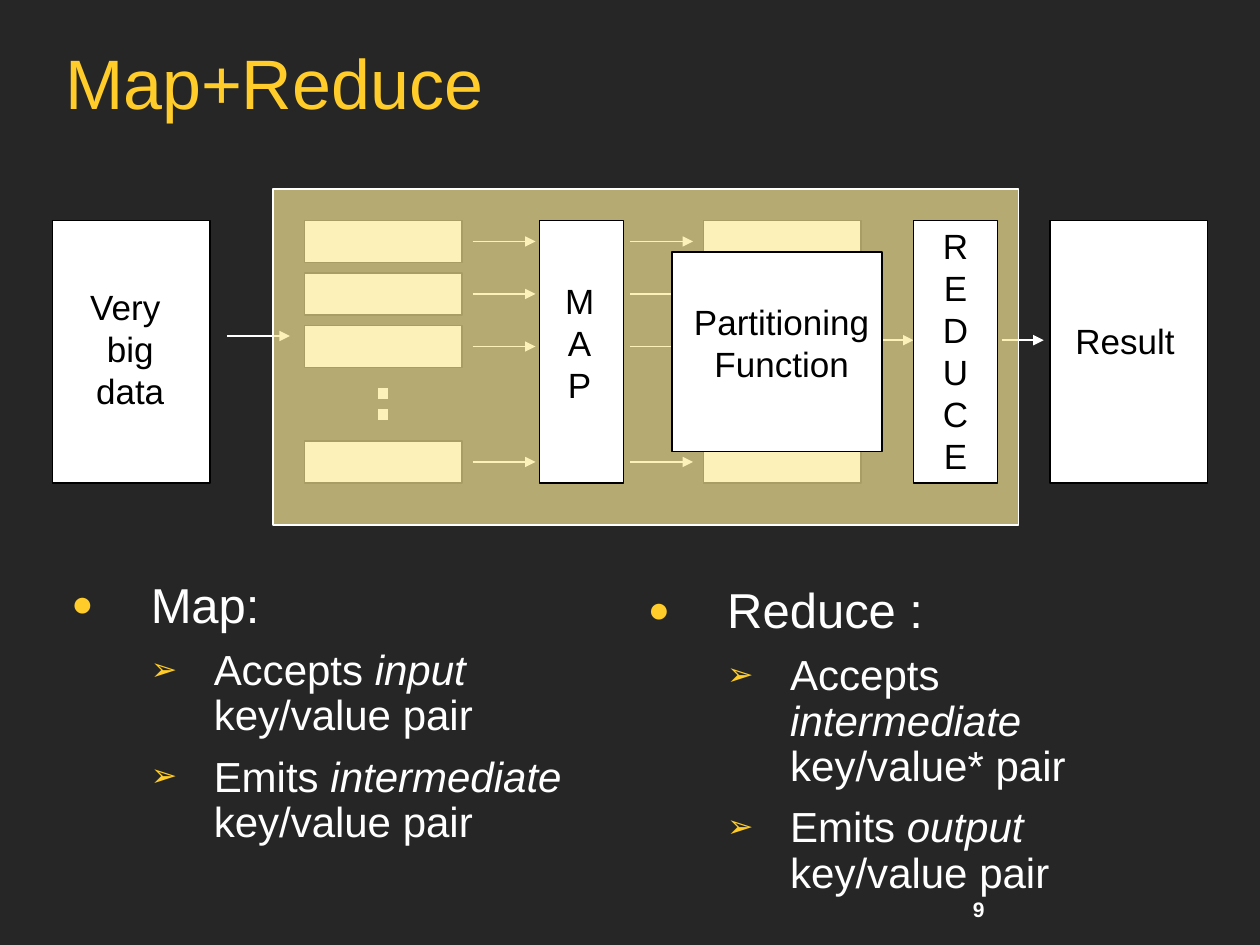
from lxml.etree import SubElement as Sub
from pptx import Presentation
from pptx.dml.color import RGBColor
from pptx.enum.dml import MSO_LINE
from pptx.enum.shapes import MSO_CONNECTOR as Conn, MSO_SHAPE as Kind
from pptx.enum.text import MSO_ANCHOR as Anchor, MSO_AUTO_SIZE as Auto, PP_ALIGN as Align
from pptx.oxml.ns import qn
from pptx.util import Inches, Pt

TITLE = "Map+Reduce"
LISTS = [
    (5.6, 54.7, "Map:", [("Accepts ", "input", " key/value pair"),
                         ("Emits ", "intermediate", " key/value pair")]),
    (60.5, 55.2, "Reduce :", [("Accepts ", "intermediate", " key/value* pair"),
                              ("Emits ", "output", " key/value pair")]),
]
ROWS = [21, 26, 31, 42]
CHIPS = [(29, y) for y in ROWS] + [(67, y) for y in (ROWS[0], ROWS[-1])]
ARROWS = [(21.6, 32, 6), (83, 32.4, 4), (95.4, 32.4, 4)]
ARROWS += [(x, y + 2, 6) for x in (45, 60) for y in ROWS]
FRAME = (26, 18, 71, 32)
BLOCKS = [
    ((5, 21, 15, 25), (7.3, 26.6, 10.2, 13.2), ["Very ", "big", "data"]),
    ((100, 21, 15, 25), (101.2, 29.8, 11.9, 5.3), ["Result"]),
    ((51.4, 21, 8, 25), (52.6, 26, 5.2, 13.2), "MAP"),
    ((87, 21, 8, 25), (88.6, 20.8, 4.8, 25.2), "REDUCE"),
    ((64, 24, 20, 19), (64.9, 28, 19.1, 9.2), ["Partitioning", "Function"]),
]
PAGE = ((89.8, 84.8, 6.8, 3.6), "9")
GOLD, WHITE, BLACK, DARK, CREAM = "FFCC29", "FFFFFF", "000000", "262626", "FCEB98"

prs = Presentation()
prs.slide_width, prs.slide_height = Inches(10), Inches(7.5)
UNIT = prs.slide_width / 120
slide = prs.slides.add_slide(prs.slide_layouts[3])
shapes = slide.shapes


def grid(*vals):
    """Turn grid units into slide lengths."""
    return [round(v * UNIT) for v in vals]


def paint(part, color):
    """Give a fill one solid colour."""
    part.solid()
    part.fore_color.rgb = RGBColor.from_string(color)


def style(para, size, color, bold=False):
    """Set the font of a whole paragraph."""
    font = para.font
    font.name, font.size, font.bold = "Arial", Pt(size), bold
    font.color.rgb = RGBColor.from_string(color)


def place(shape, *box):
    """Move a placeholder to a grid box."""
    shape.left, shape.top, shape.width, shape.height = grid(*box)
    frame = shape.text_frame
    frame.auto_size, frame.word_wrap = Auto.NONE, True
    return frame


def rect(box, fill=WHITE, line=BLACK):
    """Draw an outlined rectangle."""
    shape = shapes.add_shape(Kind.RECTANGLE, *grid(*box))
    shape.shadow.inherit = False
    paint(shape.fill, fill)
    paint(shape.line.fill, line)
    shape.line.width = Pt(0.75)
    return shape


def stroke(x, y, dx, dy, width):
    """Draw a white line."""
    line = shapes.add_connector(Conn.STRAIGHT, *grid(x, y, x + dx, y + dy))
    paint(line.line.fill, WHITE)
    line.line.width = Pt(width)
    Sub(line._element.spPr, qn("a:effectLst"))
    return line.line


def label(box, lines, size=20, color=BLACK, bold=False):
    """Write centred lines in an unwrapped box."""
    frame = shapes.add_textbox(*grid(*box)).text_frame
    frame.word_wrap = False
    for i, line in enumerate(lines):
        para = frame.add_paragraph() if i else frame.paragraphs[0]
        para.text, para.alignment = line, Align.CENTER
        style(para, size, color, bold)


def item(para, parts, level, mark, indent, hang, size, gap):
    """Write a bulleted paragraph whose second part is italic."""
    para.level = level
    para.line_spacing, para.space_before = 0.9, Pt(gap)
    props = para._p.get_or_add_pPr()
    props.set("marL", str(Inches(indent)))
    props.set("indent", str(-Inches(hang)))
    Sub(Sub(props, qn("a:buClr")), qn("a:srgbClr"), val=GOLD)
    Sub(props, qn("a:buSzPct"), val="75000")
    Sub(props, qn("a:buFont"), typeface="Arial")
    Sub(props, qn("a:buChar"), char=mark)
    style(para, size, WHITE)
    for i, part in enumerate(parts):
        run = para.add_run()
        run.text = part
        if i == 1:
            run.font.italic = True


paint(slide.background.fill, DARK)
head, *bodies = slide.placeholders
frame = place(head, 5, 4, 110, 8.5)
frame.vertical_anchor = Anchor.BOTTOM
para = frame.paragraphs[0]
para.text, para.alignment, para.line_spacing = TITLE, Align.LEFT, 0.9
style(para, 40, GOLD)

for body, (x, y, name, points) in zip(bodies, LISTS):
    frame = place(body, x, y, 53, 31)
    frame.vertical_anchor = Anchor.TOP
    item(frame.paragraphs[0], [name], 0, "●", 0.63, 0.63, 28, 0)
    for parts in points:
        item(frame.add_paragraph(), parts, 1, "➢", 1.13, 0.5, 24, 9)

for x, y in CHIPS:
    rect((x, y, 15, 4))
stroke(36.5, 37, 0, 3, 6).dash_style = MSO_LINE.ROUND_DOT
for x, y, dx in ARROWS:
    line = stroke(x, y, dx, 0, 1)
    Sub(line._get_or_add_ln(), qn("a:tailEnd"), type="triangle")

veil = rect(FRAME, CREAM, WHITE)
tint = veil._element.spPr.find(qn("a:solidFill"))[0]
Sub(tint, qn("a:alpha"), val="67000")

for box, spot, lines in BLOCKS:
    rect(box)
    label(spot, lines)
label(*PAGE, size=12, color=WHITE, bold=True)

prs.save("out.pptx")
